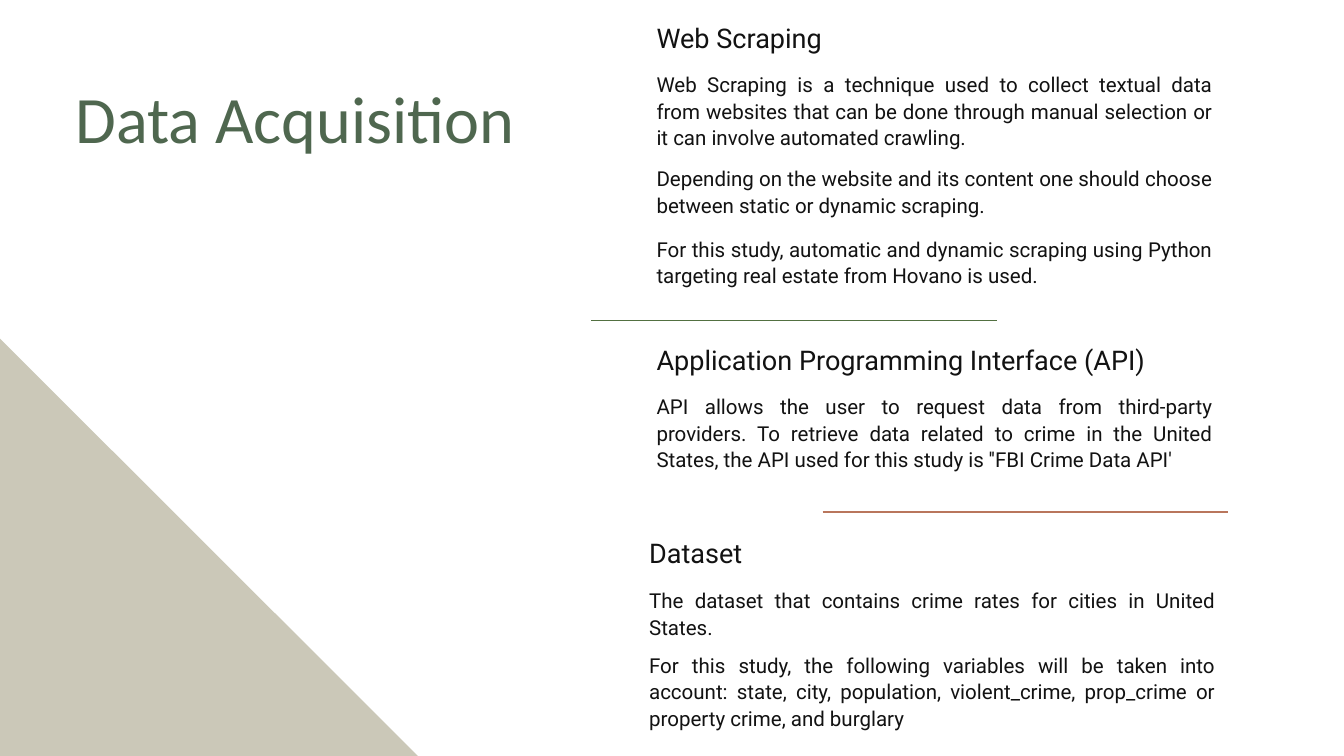
from lxml.etree import SubElement
from pptx import Presentation
from pptx.dml.color import RGBColor
from pptx.enum.shapes import MSO_CONNECTOR, MSO_SHAPE
from pptx.enum.text import PP_ALIGN
from pptx.oxml.ns import qn
from pptx.util import Inches, Pt


def color(value):
    return RGBColor.from_string(value)


def add_text(text, left, top, width, height, size, spacing, font="Roboto",
             fill="121212", align=PP_ALIGN.LEFT):
    box = slide.shapes.add_textbox(Inches(left), Inches(top), Inches(width), Inches(height))
    frame = box.text_frame
    frame.word_wrap = True
    frame.margin_left = frame.margin_right = frame.margin_top = frame.margin_bottom = 0
    paragraph = frame.paragraphs[0]
    paragraph.text = text
    paragraph.alignment = align
    paragraph.line_spacing = Pt(spacing)
    paragraph.font.name = font
    paragraph.font.size = Pt(size)
    paragraph.font.color.rgb = color(fill)


presentation = Presentation()
presentation.slide_width = Inches(20)
presentation.slide_height = Inches(11.25)
slide = presentation.slides.add_slide(presentation.slide_layouts[6])
slide.background.fill.solid()
slide.background.fill.fore_color.rgb = color("FFFFFF")

triangle = slide.shapes.add_shape(
    MSO_SHAPE.RIGHT_TRIANGLE, 0, Inches(5.04), Inches(6.41), Inches(6.4))
triangle.shadow.inherit = False
triangle.fill.solid()
triangle.fill.fore_color.rgb = color("CBC8B8")
triangle.line.fill.background()

add_text("Data Acquisition", 1.12, 1.05, 7.73, 2.54, 71, 92.3, "Calibri", "4F674F")

sections = [
    ("Web Scraping", 9.77, 0.28, 8.27, [
        (1.04, 1.19, "Web Scraping is a technique used to collect textual data from websites "
         "that can be done through manual selection or it can involve automated crawling."),
        (2.44, 0.79, "Depending on the website and its content one should choose between "
         "static or dynamic scraping."),
        (3.49, 0.79, "For this study, automatic and dynamic scraping using Python targeting "
         "real estate from Hovano is used."),
    ]),
    ("Application Programming Interface (API)", 9.77, 5.07, 8.27, [
        (5.83, 1.19, "API allows the user to request data from third-party providers. To "
         "retrieve data related to crime in the United States, the API used for this study "
         "is ''FBI Crime Data API'"),
    ]),
    ("Dataset", 9.66, 7.94, 8.42, [
        (8.72, 0.8, "The dataset that contains crime rates for cities in United States."),
        (9.68, 1.2, "For this study, the following variables will be taken into account: "
         "state, city, population, violent_crime, prop_crime or property crime, and burglary"),
    ]),
]
for heading, left, heading_top, width, bodies in sections:
    add_text(heading, left, heading_top, width, 0.51, 29, 37.7)
    for top, height, body in bodies:
        add_text(body, left, top, width, height, 22, 28.6, align=PP_ALIGN.JUSTIFY)

for start, end, top, line_color in [(8.8, 14.84, 4.77, "527041"), (12.24, 18.27, 7.62, "B9765C")]:
    divider = slide.shapes.add_connector(
        MSO_CONNECTOR.STRAIGHT, Inches(start), Inches(top), Inches(end), Inches(top))
    divider.line.color.rgb = color(line_color)
    divider.line.width = Pt(1.5)
    SubElement(divider._element.spPr, qn("a:effectLst"))

presentation.save("out.pptx")
